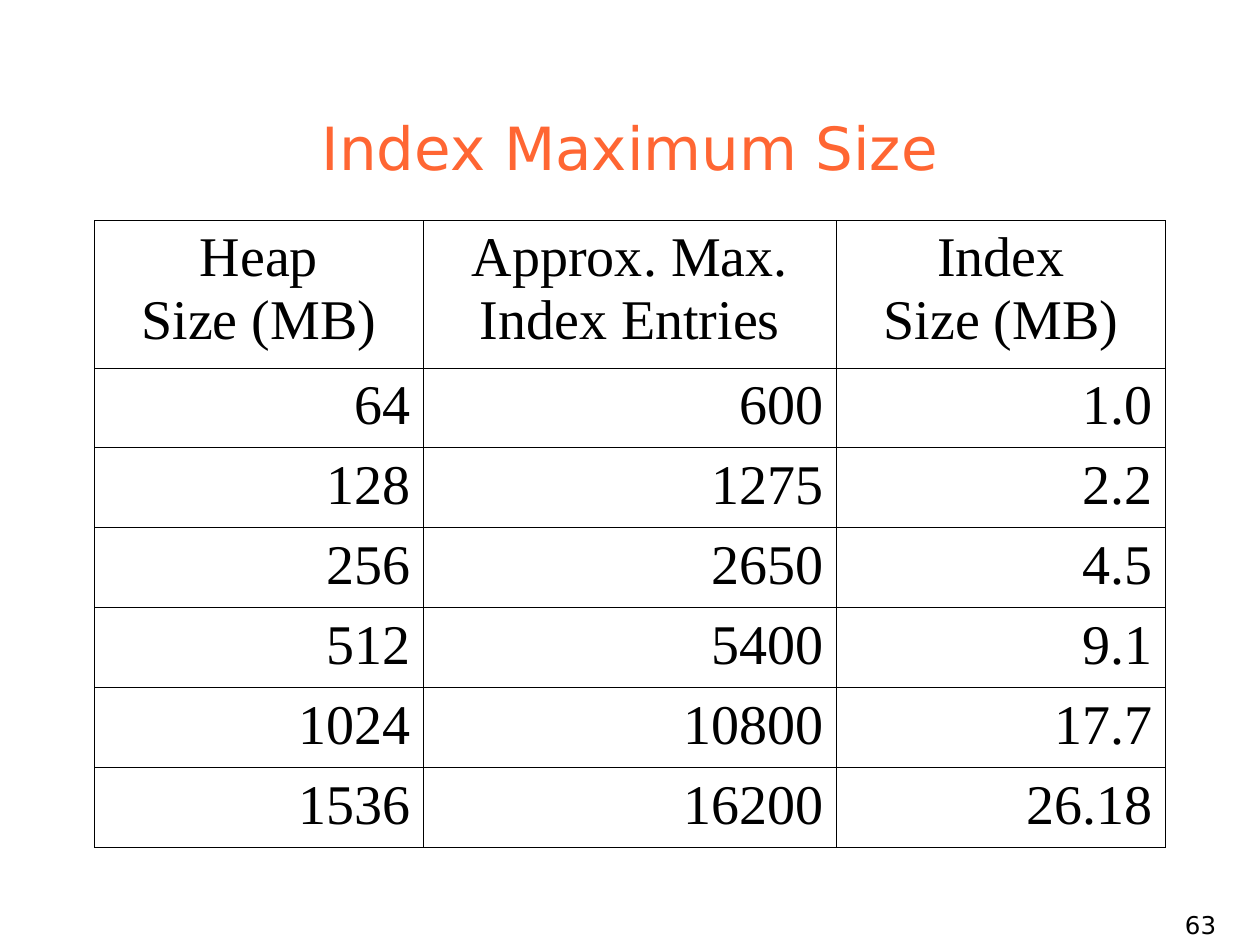
from lxml import etree
from pptx import Presentation
from pptx import util as u
from pptx.dml.color import RGBColor
from pptx.enum import text
from pptx.oxml import ns

ROWS = [
    ("Heap\nSize (MB)", "Approx. Max.\nIndex Entries", "Index\nSize (MB)"),
    ("64", "600", "1.0"),
    ("128", "1275", "2.2"),
    ("256", "2650", "4.5"),
    ("512", "5400", "9.1"),
    ("1024", "10800", "17.7"),
    ("1536", "16200", "26.18"),
]
COLUMN_WIDTHS = (2.61, 3.28, 2.61)
HEADER_HEIGHT, ROW_HEIGHT = 1.17, 0.635
CENTER, RIGHT = text.PP_ALIGN.CENTER, text.PP_ALIGN.RIGHT


def color(value):
    """Turn a hex string into a colour."""
    return RGBColor.from_string(value)


def write(tf, content, size, font, fill, align):
    """Set the text of a frame and format its runs."""
    tf.text = content
    for p in tf.paragraphs:
        p.alignment = align
        for r in p.runs:
            r.font.size = u.Pt(size)
            r.font.name = font
            r.font.color.rgb = color(fill)


def add_text(s, box, content, size, fill, align, anchor):
    """Add a wrapped text box."""
    sp = s.shapes.add_textbox(*map(u.Inches, box))
    tf = sp.text_frame
    tf.word_wrap = True
    tf.vertical_anchor = anchor
    write(tf, content, size, "DejaVu Sans", fill, align)


def add_borders(cell, fill, width):
    """Draw a solid line on all four sides of a cell."""
    tc_pr = cell._tc.get_or_add_tcPr()
    for i, side in enumerate(("a:lnL", "a:lnR", "a:lnT", "a:lnB")):
        ln = etree.Element(ns.qn(side), w=str(u.Pt(width)))
        solid = etree.SubElement(ln, ns.qn("a:solidFill"))
        etree.SubElement(solid, ns.qn("a:srgbClr"), val=fill)
        tc_pr.insert(i, ln)


def add_size_table(s, left, top):
    """Add the table of heap sizes and index limits."""
    height = HEADER_HEIGHT + ROW_HEIGHT * (len(ROWS) - 1)
    box = (left, top, sum(COLUMN_WIDTHS), height)
    table = s.shapes.add_table(len(ROWS), len(COLUMN_WIDTHS), *map(u.Inches, box)).table
    for column, width in zip(table.columns, COLUMN_WIDTHS):
        column.width = u.Inches(width)
    for i, values in enumerate(ROWS):
        table.rows[i].height = u.Inches(ROW_HEIGHT if i else HEADER_HEIGHT)
        for j, value in enumerate(values):
            cell = table.cell(i, j)
            cell.fill.background()
            add_borders(cell, "000000", 0.45)
            write(cell.text_frame, value, 32, "Times New Roman", "000000",
                  RIGHT if i else CENTER)
            for r in (r for p in cell.text_frame.paragraphs for r in p.runs):
                r.font.bold = False


def main():
    """Build the slide and save it."""
    prs = Presentation()
    prs.slide_width, prs.slide_height = u.Inches(10), u.Inches(7.5)
    s = prs.slides.add_slide(prs.slide_layouts[6])
    add_text(s, (0.75, 0.67, 8.5, 0.83), "Index Maximum Size", 34, "FF6633",
             CENTER, text.MSO_ANCHOR.BOTTOM)
    add_size_table(s, 0.75, 1.75)
    add_text(s, (7.67, 7.17, 2.08, 0.33), "63", 14, "000000",
             RIGHT, text.MSO_ANCHOR.TOP)
    prs.save("out.pptx")


if __name__ == "__main__":
    main()
